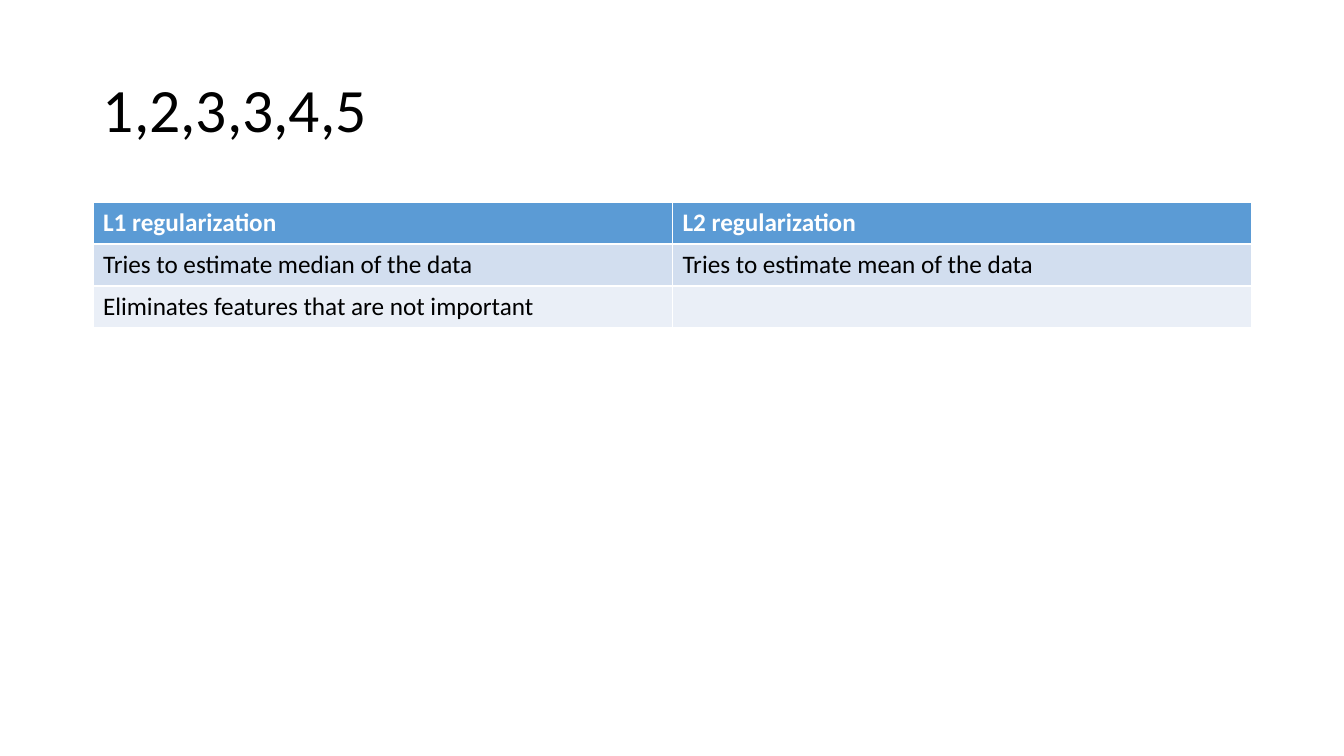
"""Build a slide that compares L1 and L2 regularization in a table."""
from pptx import Presentation
from pptx import util as u
from pptx.dml.color import RGBColor
from pptx.enum import text

TITLE = "1,2,3,3,4,5"
COMPARISON = [
    ("L1 regularization", "L2 regularization"),
    ("Tries to estimate median of the data", "Tries to estimate mean of the data"),
    ("Eliminates features that are not important", ""),
]
COLORS = {"ink": "000000", "paper": "FFFFFF", "header": "5B9BD5",
          "odd": "D2DEEF", "even": "EAEFF7"}
FONT = "Calibri"
EMU_PER_PIXEL = 914400 / 100.8
LEFT, WIDTH = 93, 1159
TITLE_TOP, TITLE_HEIGHT = 40, 146
TABLE_TOP, ROW_HEIGHT = 202, 42


def px(pixels):
    """Turn pixels into EMU."""
    return u.Emu(round(pixels * EMU_PER_PIXEL))


def write(frame, words, size=18, color="ink", bold=False, spacing=1.0):
    """Put formatted words into a text frame."""
    paragraph = frame.paragraphs[0]
    paragraph.line_spacing = spacing
    paragraph.font.size = u.Pt(size)
    if words:
        run = paragraph.add_run()
        run.text = words
        run.font.name = FONT
        run.font.size = u.Pt(size)
        run.font.bold = bold
        run.font.color.rgb = RGBColor.from_string(COLORS[color])


deck = Presentation()
deck.slide_width, deck.slide_height = px(1344), px(756)
slide = deck.slides.add_slide(deck.slide_layouts[6])

title = slide.shapes.add_textbox(px(LEFT), px(TITLE_TOP), px(WIDTH), px(TITLE_HEIGHT)).text_frame
title.word_wrap = True
title.vertical_anchor = text.MSO_ANCHOR.MIDDLE
write(title, TITLE, size=44, spacing=0.9)

comparison = slide.shapes.add_table(
    len(COMPARISON), len(COMPARISON[0]),
    px(LEFT), px(TABLE_TOP), px(WIDTH), px(ROW_HEIGHT * len(COMPARISON))).table
for row, entries in enumerate(COMPARISON):
    is_header = row == 0
    band = "header" if is_header else ("even", "odd")[row % 2]
    for column, words in enumerate(entries):
        cell = comparison.cell(row, column)
        cell.fill.solid()
        cell.fill.fore_color.rgb = RGBColor.from_string(COLORS[band])
        write(cell.text_frame, words, color="paper" if is_header else "ink", bold=is_header)

deck.save("out.pptx")
